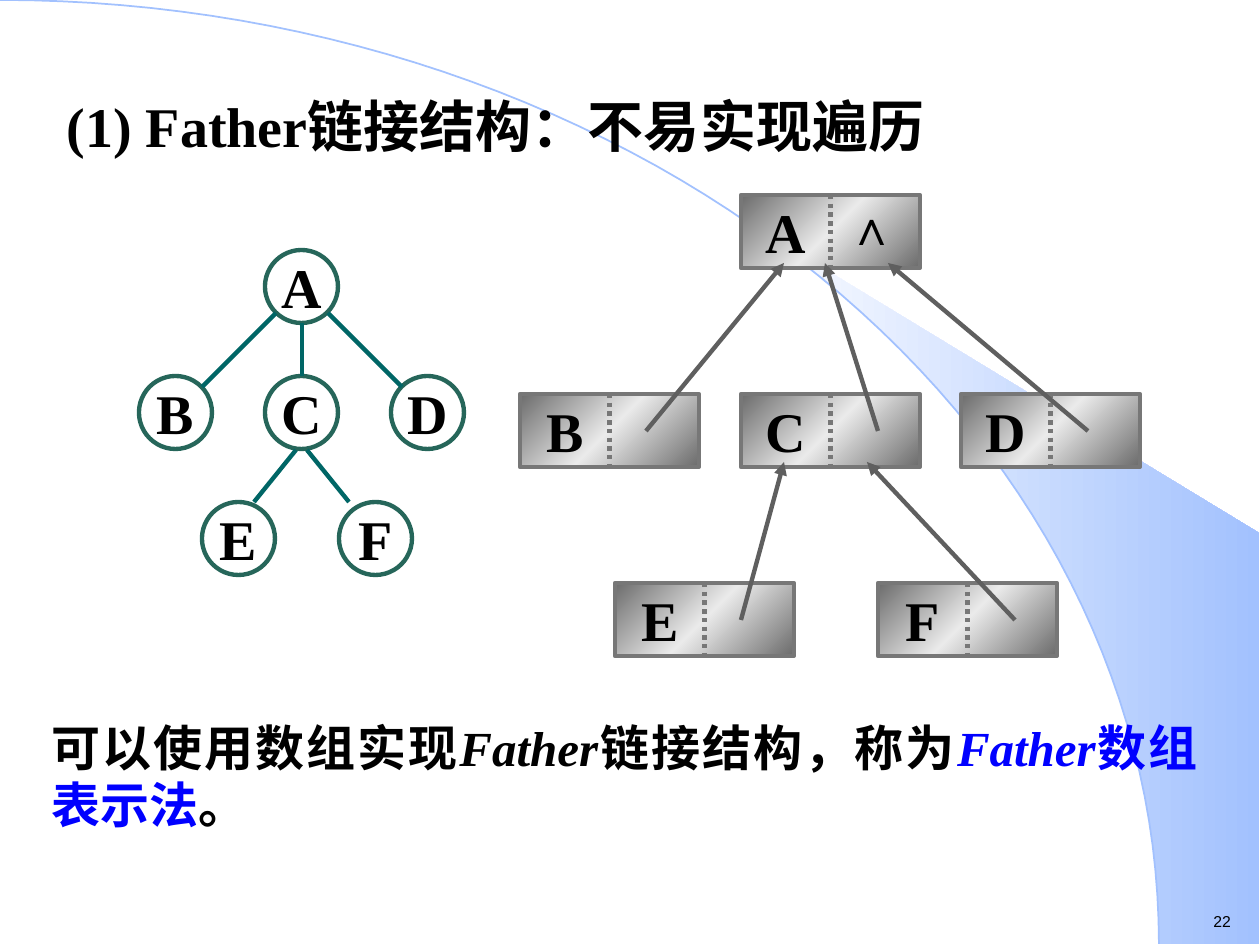
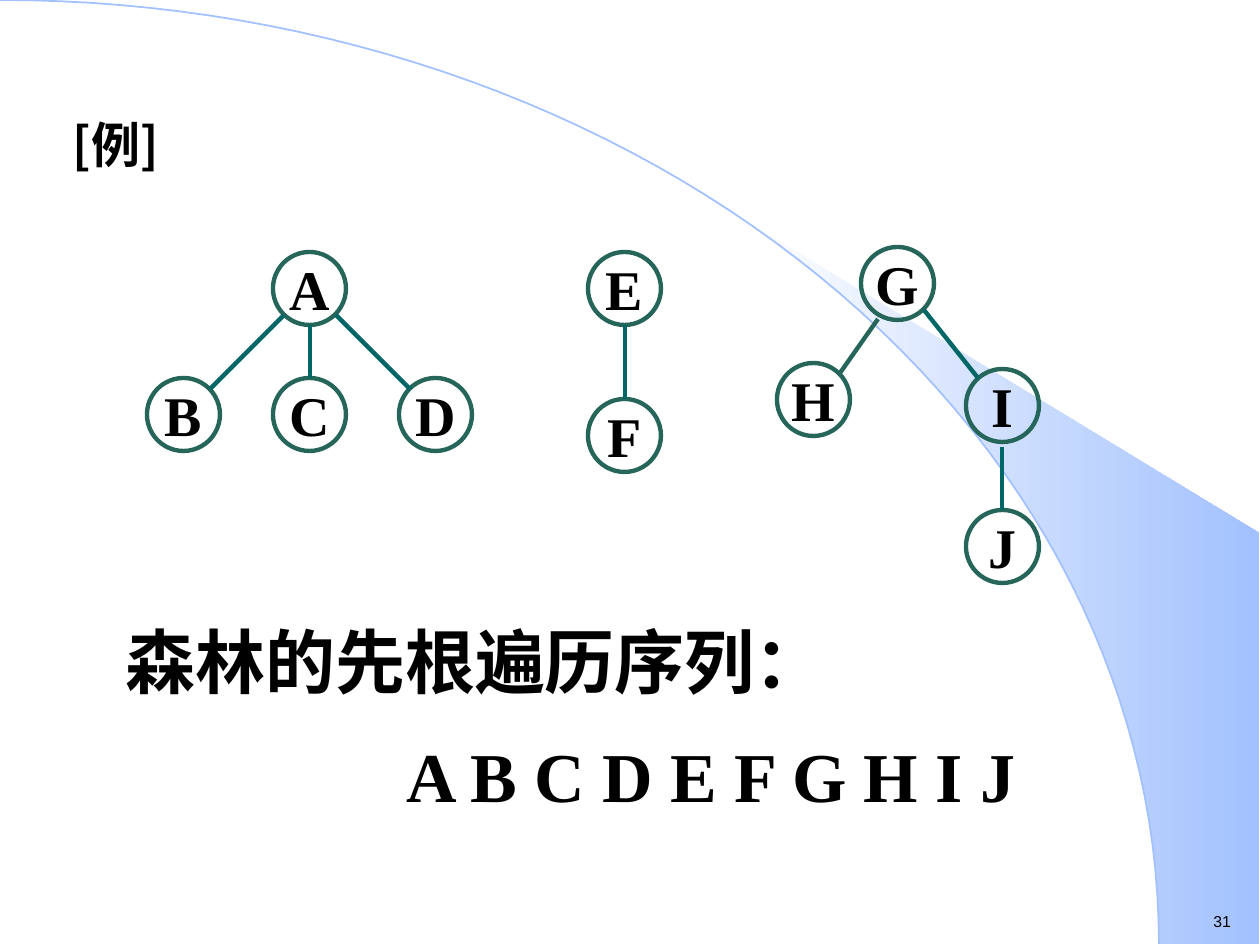
from copy import deepcopy
from math import asin, cos, pi, sin

from lxml import etree
from pptx import Presentation
from pptx.dml.color import RGBColor
from pptx.enum.dml import MSO_LINE
from pptx.enum.shapes import MSO_CONNECTOR, MSO_SHAPE
from pptx.enum.text import MSO_ANCHOR, PP_ALIGN
from pptx.oxml.ns import qn
from pptx.util import Emu, Inches, Pt

BLACK = RGBColor(0x00, 0x00, 0x00)
WHITE = RGBColor(0xFF, 0xFF, 0xFF)
BLUE = RGBColor(0x00, 0x00, 0xFF)
SKY = RGBColor(0xA2, 0xC1, 0xFE)
RING = RGBColor(0x26, 0x66, 0x5A)
TEAL = RGBColor(0x00, 0x66, 0x66)
STEEL = RGBColor(0x6C, 0x6C, 0x6C)
SILVER = RGBColor(0xEA, 0xEA, 0xEA)
BORDER = RGBColor(0x77, 0x77, 0x77)
ARROW = RGBColor(0x5F, 0x5F, 0x5F)

LEFT, CENTER, JUSTIFY = PP_ALIGN.LEFT, PP_ALIGN.CENTER, PP_ALIGN.JUSTIFY
TOP, MIDDLE = MSO_ANCHOR.TOP, MSO_ANCHOR.MIDDLE
STRAIGHT = MSO_CONNECTOR.STRAIGHT
OVAL, RECTANGLE = MSO_SHAPE.OVAL, MSO_SHAPE.RECTANGLE
DOTTED = MSO_LINE.ROUND_DOT

SERIF, SANS, CJK = "Times New Roman", "Arial", "Noto Sans CJK SC"
EMU_PER_PX = 914400 / 126
SLIDE_W, SLIDE_H = 1260, 945
ARC_RX, ARC_RY = 1159, 944
NODE = 73
CELL_W, CELL_H = 179, 73
STROKE = 2.5

FAMILY_NODES = {"A": (265, 250), "B": (139, 376), "C": (265, 376), "D": (391, 376)}
FAMILY_EDGES = [(302, 323, 302, 376), (276, 313, 202, 387), (328, 313, 402, 387)]


def px(length):
    return Emu(round(length * EMU_PER_PX))


def write(frame, *runs, size=32, font=SERIF, bold=True, align=LEFT, line=None,
          before=0, indent=0):
    paragraph = frame.add_paragraph() if frame.text else frame.paragraphs[0]
    paragraph.alignment = align
    paragraph.space_before = Pt(before)
    if line:
        paragraph.line_spacing = Pt(line)
    if indent:
        paragraph._p.get_or_add_pPr().set("marL", str(px(indent)))
    for text, color, italic in runs:
        run = paragraph.add_run()
        run.text = text
        run.font.size = Pt(size)
        run.font.name = font
        run.font.bold = bold
        run.font.italic = italic
        run.font.color.rgb = color
        east_asian = etree.SubElement(run._r.rPr, qn("a:ea"))
        east_asian.set("typeface", CJK)


def plain(text):
    return text, BLACK, False


def add_text_box(slide, left, top, width, height, wrap=True):
    frame = slide.shapes.add_textbox(px(left), px(top), px(width), px(height)).text_frame
    frame.word_wrap = wrap
    return frame


def add_title(slide, text, left, top, width, **text_format):
    title = slide.shapes.title
    title.left, title.top, title.width, title.height = map(px, (left, top, width, 92))
    title.text_frame.vertical_anchor = TOP
    title.text_frame.word_wrap = True
    write(title.text_frame, plain(text), line=42, **text_format)
    slide.shapes._spTree.append(title._element)


def add_line(slide, start_x, start_y, end_x, end_y, color, arrow=False):
    line = slide.shapes.add_connector(STRAIGHT, px(start_x), px(start_y), px(end_x), px(end_y))
    line.line.color.rgb = color
    line.line.width = Pt(STROKE)
    if arrow:
        etree.SubElement(line.line._get_or_add_ln(), qn("a:tailEnd"), type="triangle")
    etree.SubElement(line._element.spPr, qn("a:effectLst"))
    return line


def fill_gradient(shape, angle, *colors):
    shape.fill.gradient()
    shape.fill.gradient_angle = angle
    stop_list = shape._element.spPr.find(".//" + qn("a:gsLst"))
    for _ in colors[2:]:
        stop_list.append(deepcopy(stop_list[-1]))
    for index, (stop, color) in enumerate(zip(shape.fill.gradient_stops, colors)):
        stop.color.rgb = color
        stop.position = index / (len(colors) - 1)


def arc_points(start, steps=60):
    angles = [start + (pi / 2 - start) * step / steps for step in range(steps + 1)]
    return [(px(ARC_RX * sin(a)), px(ARC_RY * (1 - cos(a)))) for a in angles]


def add_outline(slide, points, close):
    builder = slide.shapes.build_freeform(*points[0])
    builder.add_line_segments(points[1:], close=close)
    outline = builder.convert_to_shape()
    outline.shadow.inherit = False
    return outline


def add_backdrop(slide, page):
    corners = [(px(1259), px(ARC_RY)), (px(1259), px(533))]
    fan = add_outline(slide, arc_points(asin(742 / ARC_RX)) + corners, True)
    fill_gradient(fan, 0, WHITE, SKY)
    fan.line.fill.background()
    arc = add_outline(slide, arc_points(0), False)
    arc.fill.background()
    arc.line.color.rgb = SKY
    arc.line.width = Pt(1)
    write(add_text_box(slide, 1201, 906, 44, 32, wrap=False), plain(page),
          size=9, font=SANS, bold=False)


def add_labelled_shape(slide, kind, left, top, width, height, label, border, label_width):
    shape = slide.shapes.add_shape(kind, px(left), px(top), px(width), px(height))
    shape.shadow.inherit = False
    shape.line.color.rgb = border
    shape.line.width = Pt(STROKE)
    frame = shape.text_frame
    frame.margin_left = frame.margin_top = frame.margin_bottom = 0
    frame.margin_right = px(width - label_width)
    frame.vertical_anchor = MIDDLE
    frame.word_wrap = False
    write(frame, plain(label), align=CENTER)
    return shape


def add_tree(slide, nodes, edges, dx=0, dy=0, edge_color=TEAL):
    for label, (left, top) in nodes.items():
        node = add_labelled_shape(slide, OVAL, left + dx, top + dy, NODE, NODE,
                                  label, RING, NODE)
        node.fill.background()
    for x1, y1, x2, y2 in edges:
        add_line(slide, x1 + dx, y1 + dy, x2 + dx, y2 + dy, edge_color)


def add_cell(slide, label, left, top):
    middle = left + CELL_W / 2
    cell = add_labelled_shape(slide, RECTANGLE, left, top, CELL_W, CELL_H,
                              label, BORDER, CELL_W / 2)
    fill_gradient(cell, 315, STEEL, SILVER, STEEL)
    divider = add_line(slide, middle, top, middle, top + CELL_H, BORDER)
    divider.line.dash_style = DOTTED
    divider.begin_connect(cell, 0)
    divider.end_connect(cell, 2)


def add_father_links(slide):
    cells = {"A": (741, 195), "B": (520, 394), "C": (741, 394), "D": (961, 394),
             "E": (615, 583), "F": (878, 583)}
    for label, (left, top) in cells.items():
        add_cell(slide, label, left, top)
    links = [(646, 431, 784, 263), (878, 431, 825, 263), (1088, 431, 888, 263),
             (741, 620, 784, 462), (1015, 620, 867, 462)]
    for link in links:
        add_line(slide, *link, ARROW, arrow=True)
    write(add_text_box(slide, 835, 190, 74, 72, wrap=False), plain("∧"),
          size=28, align=CENTER)


def build_father_slide(slide):
    add_backdrop(slide, "22")
    add_title(slide, "(1) Father链接结构：不易实现遍历", 54, 79, 1150)
    add_tree(slide, {**FAMILY_NODES, "E": (202, 502), "F": (339, 502)},
             FAMILY_EDGES + [(296, 450, 254, 502), (307, 450, 349, 502)])
    add_father_links(slide)
    write(add_text_box(slide, 39, 712, 1171, 130),
          plain("可以使用数组实现"), ("Father", BLACK, True), plain("链接结构，称为"),
          ("Father", BLUE, True), ("数组表示法", BLUE, False), plain("。"),
          size=28, align=JUSTIFY, line=33)


def build_forest_slide(slide):
    add_backdrop(slide, "31")
    add_title(slide, "[例]", 60, 93, 1126, size=28, font=CJK)
    add_tree(slide, FAMILY_NODES, FAMILY_EDGES, dx=8, dy=2)
    add_tree(slide, {"E": (588, 252), "F": (588, 399)}, [(625, 325, 625, 399)])
    add_tree(slide, {"G": (861, 247), "H": (777, 363)}, [(878, 319, 840, 373)],
             edge_color=RING)
    add_tree(slide, {"I": (966, 369), "J": (966, 510)},
             [(924, 310, 978, 378), (1002, 447, 1002, 510)])
    traversal = add_text_box(slide, 113, 600, 966, 230)
    write(traversal, plain("森林的先根遍历序列："), size=40, line=55)
    write(traversal, plain("A B C D E F G H I J"), size=40, line=55, before=10, indent=281)


def main():
    deck = Presentation()
    deck.slide_width, deck.slide_height = Inches(10), Inches(7.5)
    title_only = deck.slide_layouts[5]
    for build in (build_father_slide, build_forest_slide):
        build(deck.slides.add_slide(title_only))
    deck.save("out.pptx")


if __name__ == "__main__":
    main()
